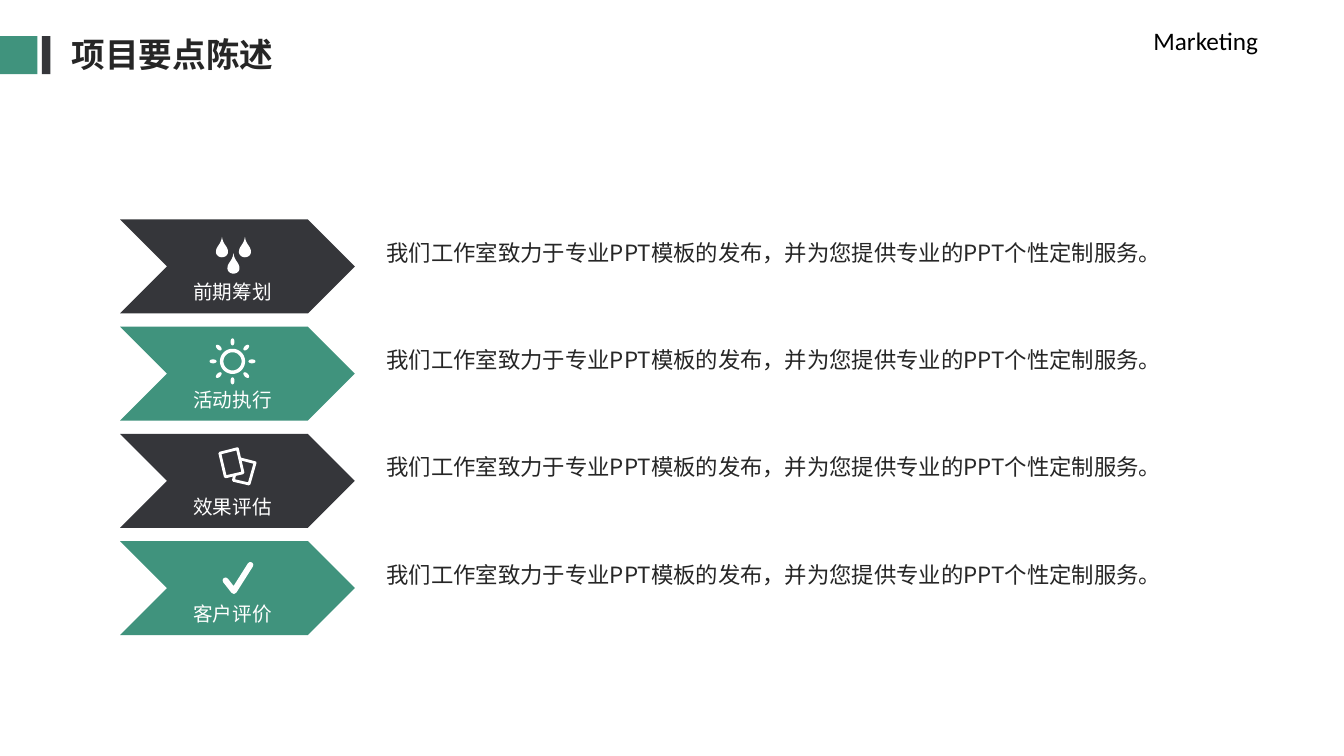
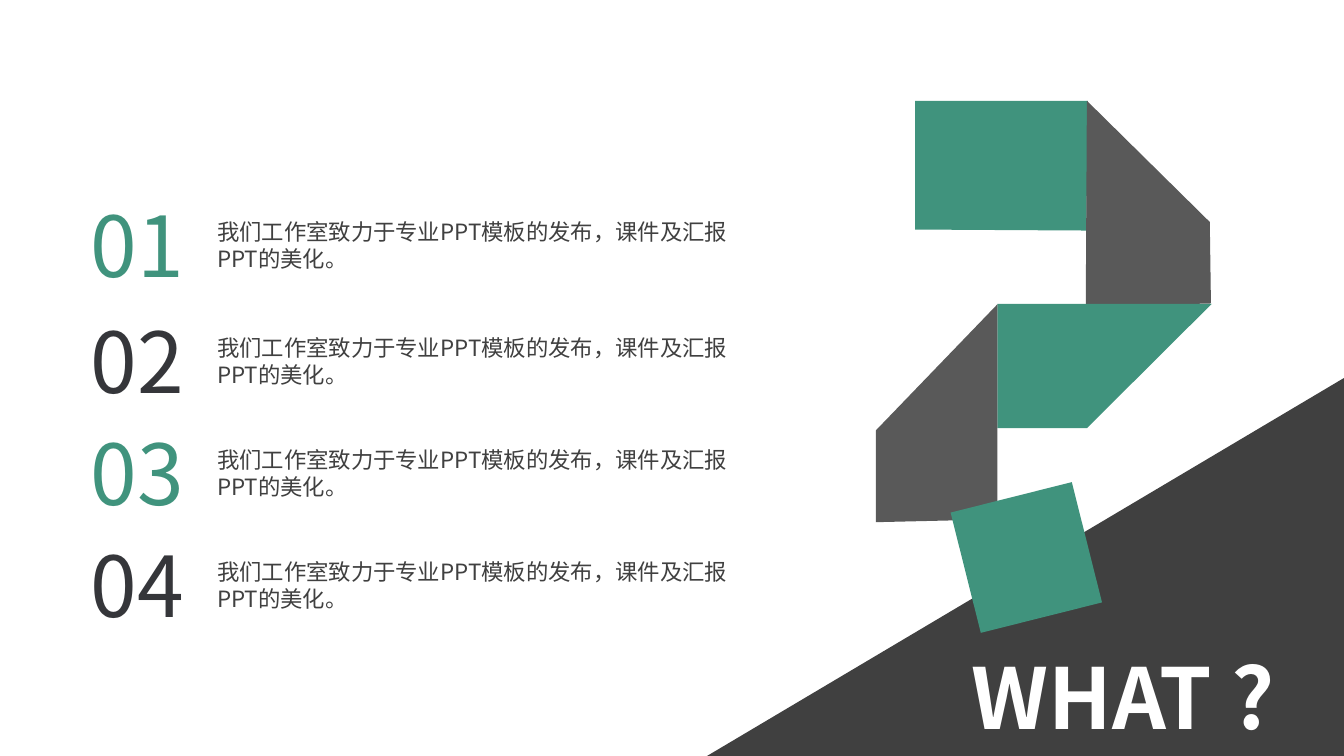
from dataclasses import dataclass
from math import cos, radians, sin
from typing import Callable

from lxml import etree
from pptx import Presentation
from pptx.dml.color import RGBColor
from pptx.enum.shapes import MSO_SHAPE
from pptx.enum.text import MSO_ANCHOR, MSO_AUTO_SIZE, PP_ALIGN
from pptx.oxml.ns import qn
from pptx.util import Pt

RECTANGLE = MSO_SHAPE.RECTANGLE
CHEVRON = MSO_SHAPE.CHEVRON
LEFT = PP_ALIGN.LEFT
TOP = MSO_ANCHOR.TOP
NO_AUTOFIT = MSO_AUTO_SIZE.NONE

GREEN, DARK, GRAY = "40937D", "35363A", "595959"
CHARCOAL, INK, WHITE, BLACK = "404040", "262626", "FFFFFF", "000000"
CHINESE_FONT, LATIN_FONT = "Noto Sans CJK SC", "Calibri"
TITLE_ONLY = 5

ROW_TOP, ROW_PITCH = 156.8, 76.6
STATEMENT = "我们工作室致力于专业PPT模板的发布，并为您提供专业的PPT个性定制服务。"
ANSWER = "我们工作室致力于专业PPT模板的发布，课件及汇报PPT的美化。"

Point = tuple[float, float]


@dataclass(frozen=True)
class Box:
    left: float
    top: float
    width: float
    height: float

    def lengths(self) -> tuple:
        return Pt(self.left), Pt(self.top), Pt(self.width), Pt(self.height)


@dataclass(frozen=True)
class TextStyle:
    size: float
    color: str
    bold: bool = False
    font: str = CHINESE_FONT
    inset_x: float = 7.2
    inset_y: float = 3.6


@dataclass(frozen=True)
class Step:
    label: str
    color: str
    draw_icon: Callable


@dataclass(frozen=True)
class Answer:
    number: str
    color: str
    top: float


@dataclass(frozen=True)
class Panel:
    color: str
    points: list[Point]


def rgb(color: str) -> RGBColor:
    return RGBColor.from_string(color)


def paint(shape, color: str) -> None:
    shape.shadow.inherit = False
    shape.fill.solid()
    shape.fill.fore_color.rgb = rgb(color)
    shape.line.fill.background()


def add_solid(slide, kind, box: Box, color: str, rotation: float = 0):
    shape = slide.shapes.add_shape(kind, *box.lengths())
    paint(shape, color)
    shape.rotation = rotation
    return shape


def add_outline(slide, contours: list[list[Point]], color: str, closed: bool = True):
    builder = None
    for contour in contours:
        first, *others = [(Pt(x), Pt(y)) for x, y in contour]
        if builder is None:
            builder = slide.shapes.build_freeform(*first)
        else:
            builder.move_to(*first)
        builder.add_line_segments(others, close=closed)
    shape = builder.convert_to_shape()
    paint(shape, color)
    return shape


def set_stroke(shape, color: str, width: float) -> None:
    shape.line.color.rgb = rgb(color)
    shape.line.width = Pt(width)


def write_text(shape, text: str, style: TextStyle) -> None:
    frame = shape.text_frame
    frame.text = text
    frame.word_wrap = True
    frame.auto_size = NO_AUTOFIT
    frame.vertical_anchor = TOP
    frame.margin_left = frame.margin_right = Pt(style.inset_x)
    frame.margin_top = frame.margin_bottom = Pt(style.inset_y)
    paragraph = frame.paragraphs[0]
    paragraph.alignment = LEFT
    paragraph.space_before = Pt(0)
    font = paragraph.font
    font.size = Pt(style.size)
    font.bold = style.bold
    font.color.rgb = rgb(style.color)
    font.name = style.font
    defaults = paragraph._p.pPr.find(qn("a:defRPr"))
    etree.SubElement(defaults, qn("a:ea"), typeface=style.font)


def add_text(slide, text: str, box: Box, style: TextStyle) -> None:
    write_text(slide.shapes.add_textbox(*box.lengths()), text, style)


def add_title_slide(presentation, text: str, box: Box, style: TextStyle):
    slide = presentation.slides.add_slide(presentation.slide_layouts[TITLE_ONLY])
    title = slide.shapes.title
    title.left, title.top, title.width, title.height = box.lengths()
    write_text(title, text, style)
    return slide


def body_style(color: str) -> TextStyle:
    return TextStyle(16, color, inset_x=9.4, inset_y=5)


def curve(start: Point, control1: Point, control2: Point, end: Point) -> list[Point]:
    points = []
    for index in range(1, 9):
        t = index / 8
        weights = ((1 - t) ** 3, 3 * t * (1 - t) ** 2, 3 * t**2 * (1 - t), t**3)
        corners = (start, control1, control2, end)
        points.append(tuple(sum(w * c[axis] for w, c in zip(weights, corners)) for axis in (0, 1)))
    return points


def ellipse(center: Point, radius_x: float, radius_y: float, rotation: float = 0) -> list[Point]:
    turn = radians(rotation)
    points = []
    for angle in range(0, 360, 10):
        x, y = radius_x * cos(radians(angle)), radius_y * sin(radians(angle))
        points.append((center[0] + x * cos(turn) - y * sin(turn), center[1] + x * sin(turn) + y * cos(turn)))
    return points


def draw_drops(slide, top: float, color: str) -> None:
    half = [(0, 0)]
    half += curve((0, 0), (-0.7, 5.8), (-4.3, 6.5), (-4.3, 10.8))
    half += curve((-4.3, 10.8), (-4.3, 13), (-2.2, 14.6), (0, 14.6))
    outline = half + [(-x, y) for x, y in reversed(half[1:-1])]
    tips = ((158.6, 12.4), (175, 12.4), (166.8, 24.1))
    drops = [[(tip_x + x, top + tip_y + y) for x, y in outline] for tip_x, tip_y in tips]
    add_outline(slide, drops, WHITE)


def draw_sun(slide, top: float, color: str) -> None:
    center_x, center_y = 166.1, top + 24.7
    contours = [ellipse((center_x, center_y), radius, radius) for radius in (9, 6.5)]
    for angle in range(0, 360, 45):
        ray = (center_x + 13.9 * cos(radians(angle)), center_y + 13.9 * sin(radians(angle)))
        contours.append(ellipse(ray, 2.5, 1.4, angle))
    add_outline(slide, contours, WHITE)


def draw_pages(slide, top: float, color: str) -> None:
    back = [(171.7, 17.7), (182.5, 20.5), (178.2, 35.7), (167, 33.1), (168, 28.8)]
    front = [(157.3, 13.7), (169.9, 10.5), (173.9, 27.7), (161.3, 30.6)]
    for page in (back, front):
        shape = add_outline(slide, [[(x - 0.3, top + y) for x, y in page]], color)
        set_stroke(shape, WHITE, 2)


def draw_check(slide, top: float, color: str) -> None:
    points = [(161.1, top + 28), (167.1, top + 35.6), (178.9, top + 16.9)]
    shape = add_outline(slide, [points], color, closed=False)
    shape.fill.background()
    set_stroke(shape, WHITE, 4.2)
    line = shape.line._get_or_add_ln()
    line.set("cap", "rnd")
    etree.SubElement(line, qn("a:round"))


STEPS = [
    Step("前期筹划", DARK, draw_drops),
    Step("活动执行", GREEN, draw_sun),
    Step("效果评估", DARK, draw_pages),
    Step("客户评价", GREEN, draw_check),
]

ANSWERS = [
    Answer("01", GREEN, 134.6),
    Answer("02", DARK, 217.4),
    Answer("03", GREEN, 297.4),
    Answer("04", DARK, 377.4),
]

QUESTION_PANELS = [
    Panel(GREEN, [(653.6, 72), (777, 72), (776, 164.7), (653.6, 164)]),
    Panel(GRAY, [(776.4, 72), (864.2, 158.6), (865, 216.8), (775.6, 219)]),
    Panel(GREEN, [(712.5, 217), (865.6, 217), (776.4, 305.8), (712.5, 305.8)]),
    Panel(GRAY, [(712.4, 217.4), (625.7, 307.4), (625.7, 373), (712.4, 371)]),
]


def build_steps_slide(presentation) -> None:
    slide = add_title_slide(presentation, "项目要点陈述", Box(44, 20.6, 218, 37), TextStyle(24, INK, True))
    for left, width, color in ((0, 26.8, GREEN), (30, 6, DARK)):
        add_solid(slide, RECTANGLE, Box(left, 25.8, width, 27.2), color)
    for index, step in enumerate(STEPS):
        top = ROW_TOP + index * ROW_PITCH
        add_solid(slide, CHEVRON, Box(85.8, top, 167.7, 67), step.color)
        step.draw_icon(slide, top, step.color)
        add_text(slide, step.label, Box(130.9, top + 39.8, 79, 24), TextStyle(14, WHITE))
        add_text(slide, STATEMENT, Box(266.7, top + 9, 641, 46), body_style(INK))
    add_text(slide, "Marketing", Box(816.8, 14.4, 138, 29), TextStyle(18, BLACK, font=LATIN_FONT))


def build_question_slide(presentation) -> None:
    slide = add_title_slide(presentation, "WHAT ?", Box(687, 457.5, 270, 80), TextStyle(60, WHITE, True))
    corner = add_outline(slide, [[(505, 540), (960, 270), (960, 540)]], CHARCOAL)
    corner.element.addnext(slide.shapes.title.element)
    for panel in QUESTION_PANELS:
        add_outline(slide, [panel.points], panel.color)
    add_solid(slide, RECTANGLE, Box(688.5, 353.9, 89.3, 88.6), GREEN, 345.9)
    for answer in ANSWERS:
        add_text(slide, answer.number, Box(57.6, answer.top, 101.5, 80), TextStyle(60, answer.color))
        add_text(slide, ANSWER, Box(145.7, answer.top + 16.5, 386.6, 46), body_style(CHARCOAL))


def main() -> None:
    presentation = Presentation()
    presentation.slide_width = Pt(960)
    presentation.slide_height = Pt(540)
    build_steps_slide(presentation)
    build_question_slide(presentation)
    presentation.save("out.pptx")


if __name__ == "__main__":
    main()
